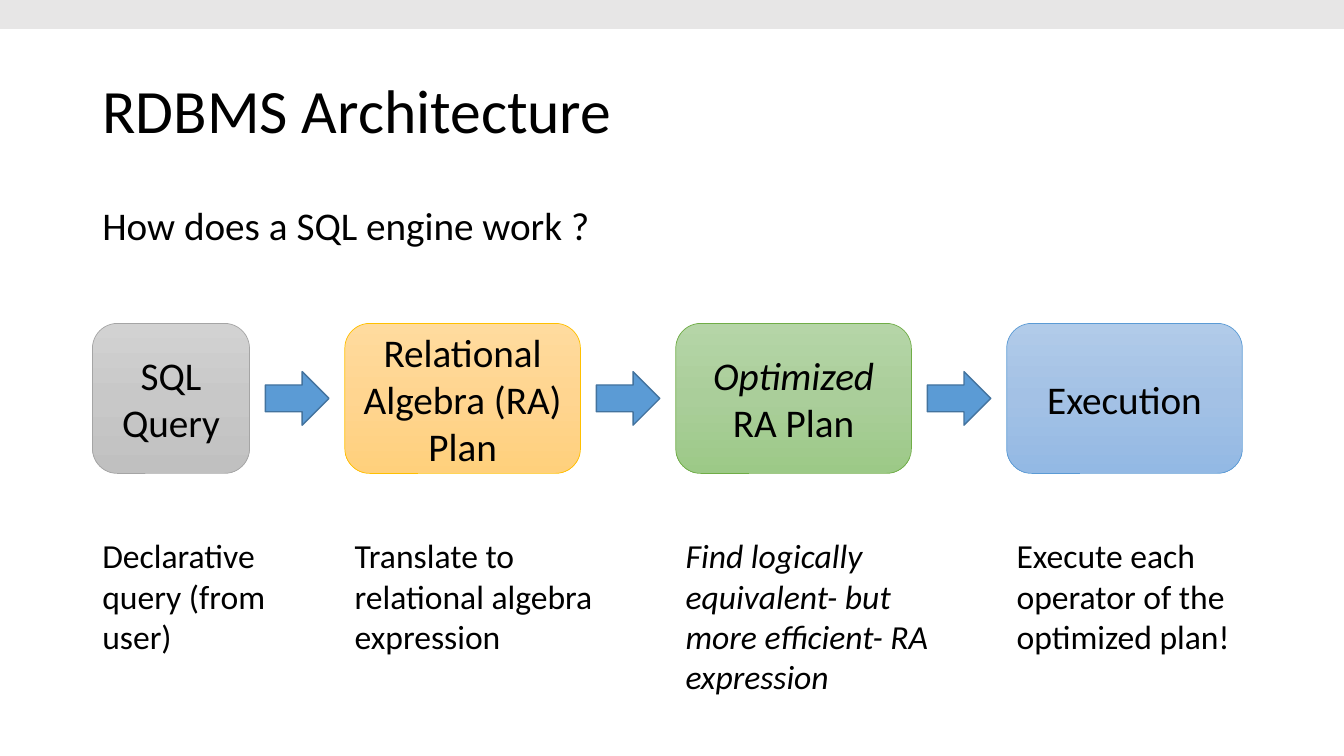
from copy import deepcopy

from pptx import Presentation
from pptx import util as u
from pptx.dml import color
from pptx.enum import shapes, text

BLACK = color.RGBColor(0x00, 0x00, 0x00)
BAND = color.RGBColor(0xE7, 0xE6, 0xE6)
BLUE = color.RGBColor(0x5B, 0x9B, 0xD5)
NAVY = color.RGBColor(0x43, 0x73, 0x9E)
GRAY = color.RGBColor(0xA5, 0xA5, 0xA5)
GOLD = color.RGBColor(0xFF, 0xC0, 0x00)
GREEN = color.RGBColor(0x70, 0xAD, 0x47)
GRAYS = [color.RGBColor.from_string(c) for c in ("D2D2D2", "C8C8C8", "C0C0C0")]
GOLDS = [color.RGBColor.from_string(c) for c in ("FFDB9E", "FFD590", "FFD07C")]
GREENS = [color.RGBColor.from_string(c) for c in ("B5D5A7", "AACE9A", "9CC987")]
BLUES = [color.RGBColor.from_string(c) for c in ("B1CBE9", "A3C1E5", "93B9E4")]

LEFT, BOX_TOP, BOX_H = 2.33, 8.15, 3.78
GAP, ARROW_INSET, ARROW_W, ARROW_H = 2.4, 0.4, 1.6, 1.35
CAPTION_TOP, LINE_H = 13.36, 1.02

# width, shades, edge, label runs (text, italic), caption, caption lines, caption width
STAGES = [
    (3.96, GRAYS, GRAY, [("SQL Query", False)],
     ("Declarative query (from user)", False), 3, 5.05),
    (5.94, GOLDS, GOLD, [("Relational Algebra (RA) Plan", False)],
     ("Translate to relational algebra expression", False), 3, 6.86),
    (5.94, GREENS, GREEN, [("Optimized", True), (" RA Plan", False)],
     ("Find logically equivalent- but more efficient- RA expression", True), 4, 6.86),
    (5.94, BLUES, BLUE, [("Execution", False)],
     ("Execute each operator of the optimized plan!", False), 3, 6.86),
]


def set_all(obj, fmt):
    for name, value in fmt.items():
        setattr(obj, name, value)


def write(sp, runs, size, frame=None, para=None):
    tf = sp.text_frame
    set_all(tf, {"word_wrap": True, **(frame or {})})
    p = tf.paragraphs[0]
    set_all(p, para or {})
    for words, italic in runs:
        r = p.add_run()
        r.text = words
        set_all(r.font, {"name": "Calibri", "size": u.Pt(size), "italic": italic})
        r.font.color.rgb = BLACK


def add_text(s, box, runs, size, frame=None, para=None):
    sp = s.shapes.add_textbox(*map(u.Cm, box))
    write(sp, runs, size, frame, para)


def add_shape(s, kind, box, fill=None, edge=None, weight=1):
    sp = s.shapes.add_shape(kind, *map(u.Cm, box))
    sp.shadow.inherit = False
    if fill is not None:
        sp.fill.solid()
        sp.fill.fore_color.rgb = fill
    if edge is None:
        sp.line.fill.background()
    else:
        sp.line.color.rgb = edge
        sp.line.width = u.Pt(weight)
    return sp


def shade(sp, shades):
    sp.fill.gradient()
    sp.fill.gradient_angle = 270
    stops = sp._element.xpath(".//a:gsLst")[0]
    stops.insert(1, deepcopy(stops[0]))
    for stop, position, rgb in zip(sp.fill.gradient_stops, (0, 0.5, 1), shades):
        stop.position = position
        stop.color.rgb = rgb


def add_stage(s, x, width, shades, edge, label):
    sp = add_shape(s, shapes.MSO_SHAPE.ROUNDED_RECTANGLE,
                   (x, BOX_TOP, width, BOX_H), edge=edge, weight=0.5)
    shade(sp, shades)
    write(sp, label, 28, {"vertical_anchor": text.MSO_ANCHOR.MIDDLE},
          {"alignment": text.PP_ALIGN.CENTER})


def add_arrow(s, x):
    y = BOX_TOP + (BOX_H - ARROW_H) / 2
    add_shape(s, shapes.MSO_SHAPE.RIGHT_ARROW, (x, y, ARROW_W, ARROW_H), BLUE, NAVY)


def main():
    prs = Presentation()
    prs.slide_width, prs.slide_height = u.Cm(33.87), u.Cm(19.05)
    s = prs.slides.add_slide(prs.slide_layouts[6])

    add_shape(s, shapes.MSO_SHAPE.RECTANGLE, (0, 0, 33.87, 0.73), BAND)
    add_text(s, (LEFT, 1.01, 29.21, 3.68), [("RDBMS Architecture", False)], 44,
             {"vertical_anchor": text.MSO_ANCHOR.MIDDLE}, {"line_spacing": 0.9})
    add_text(s, (LEFT, 5.08, 29.21, 1.68), [("How does a SQL engine work ?", False)], 28,
             para={"line_spacing": 0.9})

    x = LEFT
    for i, (width, shades, edge, label, caption, lines, caption_w) in enumerate(STAGES):
        if i:
            add_arrow(s, x - GAP + ARROW_INSET)
        add_stage(s, x, width, shades, edge, label)
        add_text(s, (x, CAPTION_TOP, caption_w, 0.25 + lines * LINE_H), [caption], 24,
                 {"auto_size": text.MSO_AUTO_SIZE.SHAPE_TO_FIT_TEXT})
        x += width + GAP

    prs.save("out.pptx")


if __name__ == "__main__":
    main()
